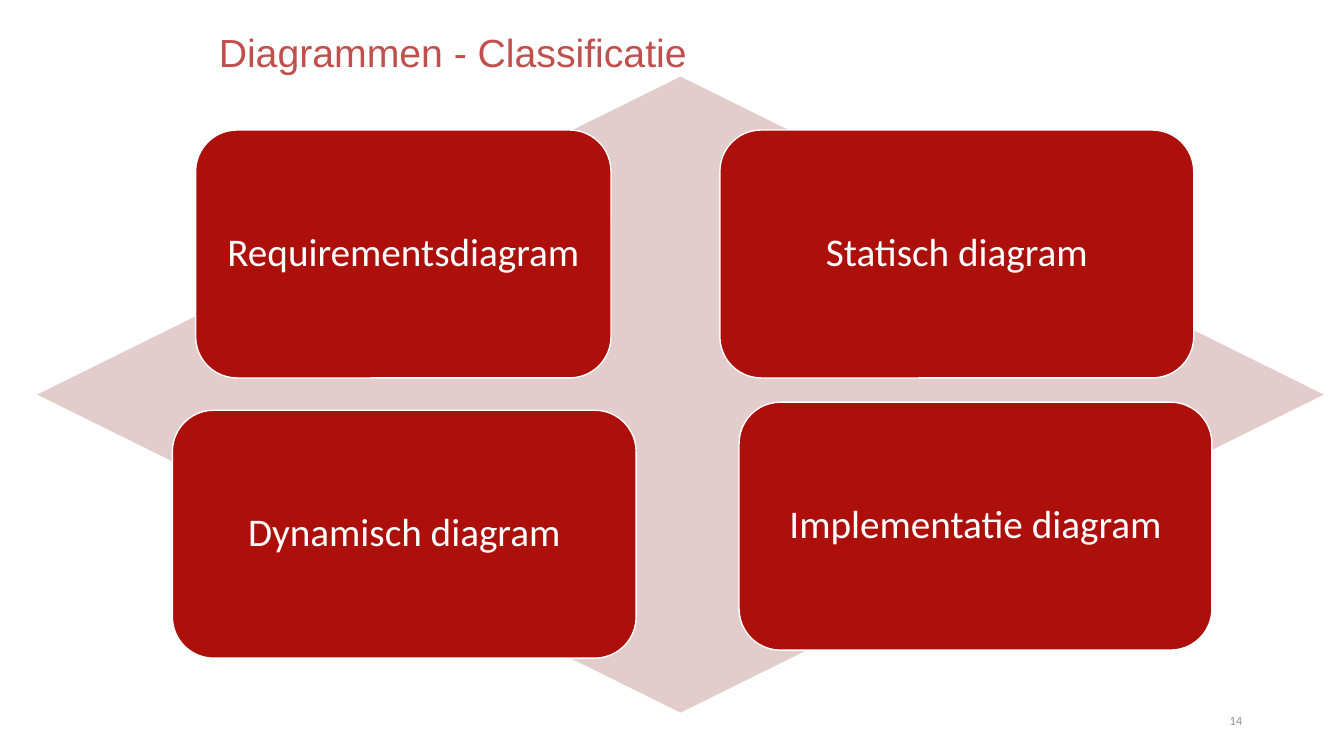
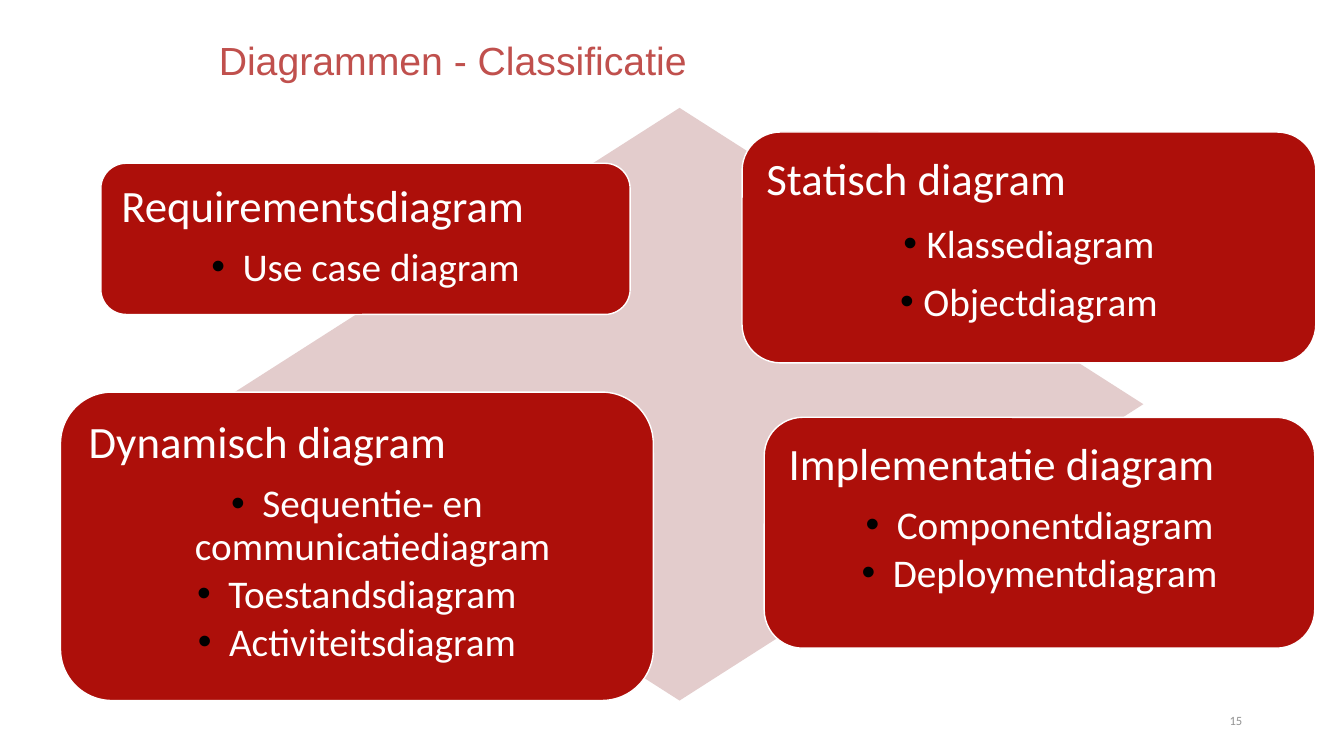
from lxml.etree import SubElement as Sub
from pptx import Presentation
from pptx.dml.color import RGBColor as Rgb
from pptx.enum.shapes import MSO_SHAPE as Kind
from pptx.enum.text import MSO_ANCHOR as Anchor, PP_ALIGN as Align
from pptx.oxml.ns import qn
from pptx.util import Pt

PX = 9144  # 100 px to the inch
HUES = {"card": "AD0F0A", "back": "E3CCCC", "title": "C0504D",
        "page": "939393", "white": "FFFFFF", "dot": "000000"}
HEAD = "Diagrammen - Classificatie"

# Slide 14: label and box of each card
PLAIN = [
    ("Requirementsdiagram", (194, 129, 412, 246)),
    ("Statisch diagram", (714, 129, 470, 246)),
    ("Dynamisch diagram", (171, 407, 460, 246)),
    ("Implementatie diagram", (733, 399, 469, 246)),
]

# Slide 15: label, box, items and list format of each card
TIGHT = {"hang": 31, "first": 11, "after": 4}
LOOSE = {"hang": 23, "first": 14, "after": 11}
LISTS = [
    ("Requirementsdiagram", (100, 162, 525, 150), ["Use case diagram"], TIGHT),
    ("Statisch diagram", (736, 131, 569, 229),
     ["Klassediagram", "Objectdiagram"], LOOSE),
    ("Dynamisch diagram", (60, 389, 588, 306),
     ["Sequentie- en communicatiediagram", "Toestandsdiagram",
      "Activiteitsdiagram"], TIGHT),
    ("Implementatie diagram", (758, 414, 546, 229),
     ["Componentdiagram", "Deploymentdiagram"], TIGHT),
]


def emu(box):
    return [n * PX for n in box]


def hue(name):
    return Rgb.from_string(HUES[name])


def bullet(para, hang):
    props = para._p.get_or_add_pPr()
    props.set("marL", str(hang * PX))
    props.set("indent", str(-hang * PX))
    Sub(Sub(props, qn("a:buClr")), qn("a:srgbClr")).set("val", HUES["dot"])
    Sub(props, qn("a:buFont")).set("typeface", "Arial")
    Sub(props, qn("a:buChar")).set("char", "•")


def write(frame, text, size=28, color="white", font="Calibri",
          align=Align.LEFT, after=0, line=0.9, hang=0):
    """Fill the empty first paragraph, or add one below."""
    para = frame.paragraphs[0] if not frame.text else frame.add_paragraph()
    if hang:
        bullet(para, hang)
    para.alignment = align
    para.line_spacing = line
    para.space_after = Pt(after)
    run = para.add_run()
    run.text = text
    run.font.size = Pt(size)
    run.font.name = font
    run.font.color.rgb = hue(color)


def setup(frame, inset, anchor):
    frame.word_wrap = True
    frame.vertical_anchor = anchor
    frame.margin_left = frame.margin_right = inset * PX
    frame.margin_top = frame.margin_bottom = inset * PX
    return frame


def shape(slide, kind, box, fill):
    item = slide.shapes.add_shape(kind, *emu(box))
    item.shadow.inherit = False
    item.fill.solid()
    item.fill.fore_color.rgb = hue(fill)
    item.line.fill.background()
    return item


def card(slide, box, inset, anchor):
    item = shape(slide, Kind.ROUNDED_RECTANGLE, box, "card")
    item.line.color.rgb = hue("white")
    item.line.width = Pt(1)
    return setup(item.text_frame, inset, anchor)


def label(slide, text, box, inset=0, **style):
    item = slide.shapes.add_textbox(*emu(box))
    write(setup(item.text_frame, inset, Anchor.MIDDLE), text, line=1, **style)


def start(deck, page, top, back):
    """Add a slide with its diamond, title and page number."""
    slide = deck.slides.add_slide(deck.slide_layouts[6])
    shape(slide, Kind.DIAMOND, back, "back")
    label(slide, HEAD, (217, top, 900, 80), color="title", font="Arial")
    label(slide, page, (1123, 695, 119, 40), inset=10, size=9,
          color="page", align=Align.RIGHT)
    return slide


def main():
    deck = Presentation()
    deck.slide_width, deck.slide_height = emu((1333, 750))

    # Four classes
    slide = start(deck, "14", 11, (37, 76, 1276, 631))
    for name, box in PLAIN:
        write(card(slide, box, 12, Anchor.MIDDLE), name, align=Align.CENTER)

    # Diagrams in each class
    slide = start(deck, "15", 19, (214, 107, 920, 588))
    for name, box, items, form in LISTS:
        frame = card(slide, box, 13, Anchor.TOP)
        write(frame, name, size=32, after=form["first"])
        for item in items:
            write(frame, item, align=Align.CENTER,
                  after=form["after"], hang=form["hang"])

    deck.save("out.pptx")


if __name__ == "__main__":
    main()
